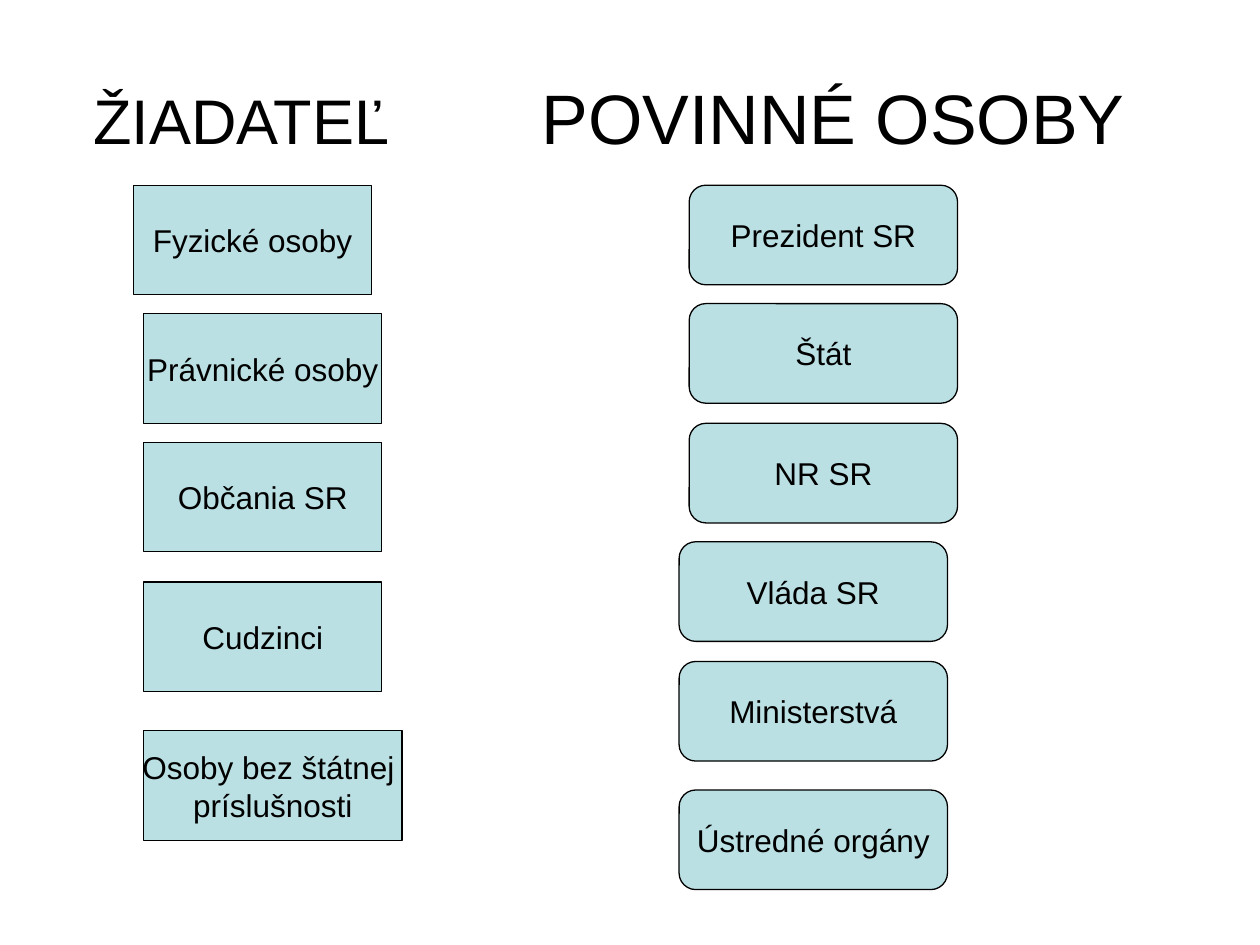
from dataclasses import dataclass
from typing import Any

from lxml import etree
from pptx import Presentation
from pptx.dml.color import RGBColor
from pptx.enum.shapes import MSO_SHAPE
from pptx.enum.text import MSO_ANCHOR, PP_ALIGN
from pptx.oxml.ns import qn
from pptx.util import Inches, Pt

RECTANGLE = MSO_SHAPE.RECTANGLE
ROUNDED = MSO_SHAPE.ROUNDED_RECTANGLE
MIDDLE = MSO_ANCHOR.MIDDLE
CENTER = PP_ALIGN.CENTER

BLACK = RGBColor(0x00, 0x00, 0x00)
PALE_TEAL = RGBColor(0xBB, 0xE0, 0xE3)

APPLICANTS = [
    ("Fyzické osoby", 1.06, 1.47, 1.89),
    ("Právnické osoby", 1.14, 2.49, 1.89),
    ("Občania SR", 1.14, 3.51, 1.89),
    ("Cudzinci", 1.14, 4.62, 1.89),
    ("Osoby bez štátnej \npríslušnosti", 1.14, 5.8, 2.05),
]
OBLIGED_BODIES = [
    ("Prezident SR", 5.47, 1.47),
    ("Štát", 5.47, 2.41),
    ("NR SR", 5.47, 3.36),
    ("Vláda SR", 5.39, 4.3),
    ("Ministerstvá", 5.39, 5.25),
    ("Ústredné orgány", 5.39, 6.27),
]


def add_text(paragraph, text, *, size, font, color):
    run = paragraph.add_run()
    run.text = text
    run.font.size = Pt(size)
    run.font.name = font
    run.font.color.rgb = color


@dataclass
class SlideBuilder:
    """Draws headings and labelled boxes on one slide in a shared style."""

    slide: Any
    font: str = "Arial"
    ink: RGBColor = BLACK
    fill: RGBColor = PALE_TEAL
    label_size: int = 18

    def headings(self, first, second, tab_stop):
        heading = self.slide.shapes.add_textbox(
            Inches(0.5), Inches(0.3), Inches(9), Inches(1.25))
        frame = heading.text_frame
        frame.word_wrap = True
        frame.vertical_anchor = MIDDLE
        frame.margin_left = Inches(0.24)
        paragraph = frame.paragraphs[0]
        tabs = etree.SubElement(paragraph._p.get_or_add_pPr(), qn("a:tabLst"))
        etree.SubElement(tabs, qn("a:tab"), pos=str(Inches(tab_stop)), algn="l")
        for text, size in ((first + "\t", 36), (second, 40)):
            add_text(paragraph, text, size=size, font=self.font, color=self.ink)

    def box(self, kind, label, left, top, width, height):
        box = self.slide.shapes.add_shape(
            kind, Inches(left), Inches(top), Inches(width), Inches(height))
        box.shadow.inherit = False
        box.fill.solid()
        box.fill.fore_color.rgb = self.fill
        box.line.color.rgb = self.ink
        box.line.width = Pt(0.75)
        frame = box.text_frame
        frame.word_wrap = False
        frame.vertical_anchor = MIDDLE
        for index, line in enumerate(label.split("\n")):
            paragraph = frame.add_paragraph() if index else frame.paragraphs[0]
            paragraph.alignment = CENTER
            add_text(paragraph, line, size=self.label_size, font=self.font,
                     color=self.ink)


def main():
    presentation = Presentation()
    presentation.slide_width = Inches(10)
    presentation.slide_height = Inches(7.5)
    blank = presentation.slide_layouts[6]
    builder = SlideBuilder(presentation.slides.add_slide(blank))

    builder.headings("ŽIADATEĽ", "POVINNÉ OSOBY", tab_stop=3.56)
    for label, left, top, width in APPLICANTS:
        builder.box(RECTANGLE, label, left, top, width, 0.87)
    for label, left, top in OBLIGED_BODIES:
        builder.box(ROUNDED, label, left, top, 2.13, 0.79)

    presentation.save("out.pptx")


if __name__ == "__main__":
    main()
